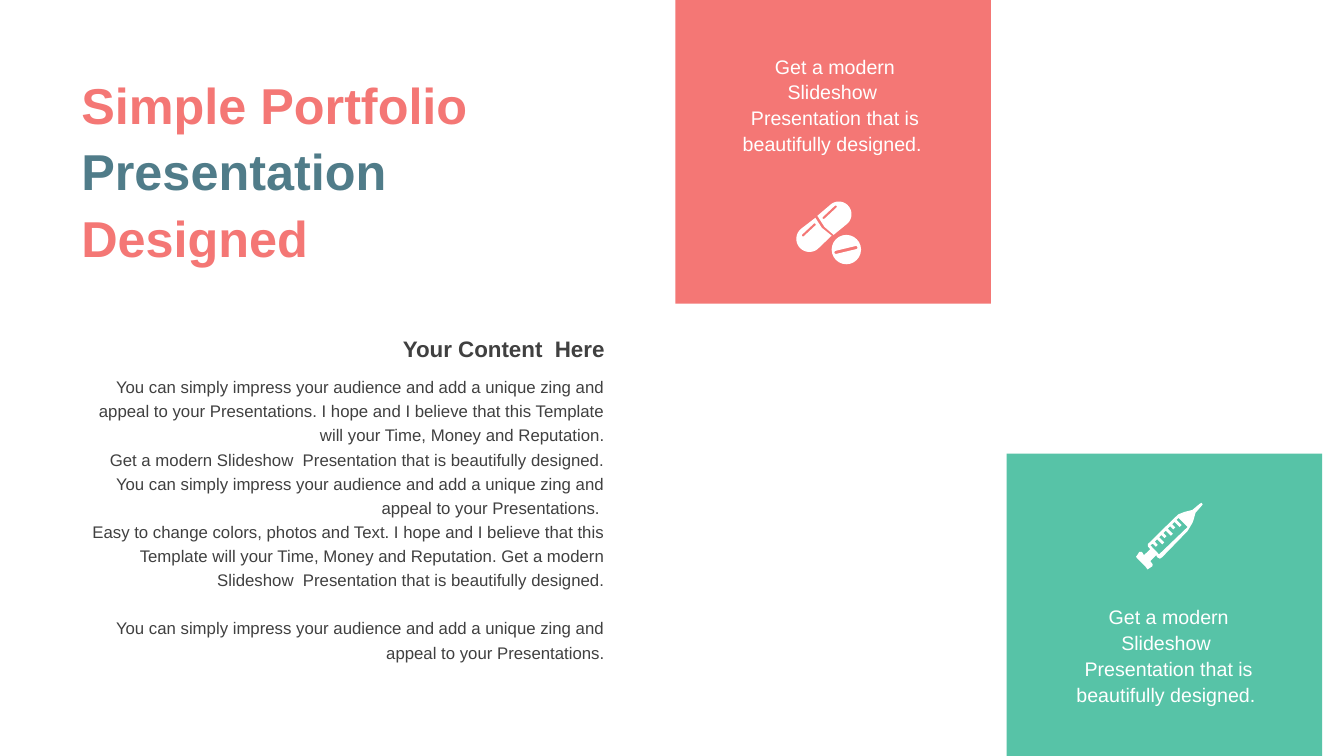
from dataclasses import dataclass
from math import atan2, cos, degrees, radians, sin

from pptx import Presentation
from pptx.dml.color import RGBColor
from pptx.enum.shapes import MSO_SHAPE
from pptx.enum.text import MSO_ANCHOR, PP_ALIGN
from pptx.util import Cm, Pt

RECTANGLE = MSO_SHAPE.RECTANGLE
TOP, MIDDLE = MSO_ANCHOR.TOP, MSO_ANCHOR.MIDDLE
LEFT, CENTER, RIGHT = PP_ALIGN.LEFT, PP_ALIGN.CENTER, PP_ALIGN.RIGHT


@dataclass(frozen=True)
class Theme:
    font: str = "Arial"
    coral: RGBColor = RGBColor(0xF4, 0x77, 0x75)
    green: RGBColor = RGBColor(0x57, 0xC3, 0xA7)
    slate: RGBColor = RGBColor(0x50, 0x7C, 0x89)
    dark: RGBColor = RGBColor(0x40, 0x40, 0x40)
    white: RGBColor = RGBColor(0xFF, 0xFF, 0xFF)
    title: Pt = Pt(36)
    heading: Pt = Pt(16)
    card: Pt = Pt(14)
    body: Pt = Pt(12)


THEME = Theme()

TITLE = [("Simple Portfolio ", THEME.coral), ("Presentation ", THEME.slate),
         ("Designed", THEME.coral)]
HEADING = "Your Content  Here"
BODY = [
    "You can simply impress your audience and add a unique zing and appeal to your "
    "Presentations. I hope and I believe that this Template will your Time, Money and Reputation.",
    "Get a modern Slideshow  Presentation that is beautifully designed. You can simply impress "
    "your audience and add a unique zing and appeal to your Presentations. ",
    "Easy to change colors, photos and Text. I hope and I believe that this Template will your "
    "Time, Money and Reputation. Get a modern Slideshow  Presentation that is beautifully designed.",
    "You can simply impress your audience and add a unique zing and appeal to your Presentations.",
]
CARD_TEXT = "Get a modern Slideshow  Presentation that is beautifully designed. "

# Icon outlines in centimetres from the icon's top left corner
SYRINGE_BODY = [
    (0.51, 1.32), (0.36, 1.47), (0.42, 1.55), (0.41, 1.6), (0.29, 1.68), (0.23, 1.6),
    (0.03, 1.4), (0, 1.36), (0.03, 1.32), (0.08, 1.24), (0.15, 1.24), (0.2, 1.32),
    (0.36, 1.17), (0.3, 1.1), (0.3, 1.04), (0.97, 0.38), (1.07, 0.29), (1.22, 0.23),
    (1.42, 0.18), (1.6, 0.03), (1.65, 0), (1.68, 0.04), (1.65, 0.08), (1.5, 0.25),
    (1.45, 0.43), (1.42, 0.51), (1.3, 0.71), (0.66, 1.37), (0.6, 1.41), (0.53, 1.37),
]


def style_shape(shape, color):
    shape.shadow.inherit = False
    shape.fill.solid()
    shape.fill.fore_color.rgb = color
    shape.line.fill.background()


def add_panel(slide, box, color):
    style_shape(slide.shapes.add_shape(RECTANGLE, *map(Cm, box)), color)


def add_text(slide, box, paragraphs, size, align, bold=False, anchor=TOP, spacing=1.0):
    """Add a text box; each paragraph is a list of (text, color) runs."""
    frame = slide.shapes.add_textbox(*map(Cm, box)).text_frame
    frame.word_wrap = True
    frame.vertical_anchor = anchor
    for index, runs in enumerate(paragraphs):
        paragraph = frame.add_paragraph() if index else frame.paragraphs[0]
        paragraph.alignment = align
        paragraph.line_spacing = spacing
        for text, color in runs:
            run = paragraph.add_run()
            run.text = text
            run.font.color.rgb = color
            for name, value in {"name": THEME.font, "size": size, "bold": bold}.items():
                setattr(run.font, name, value)
    return frame


def arc(center, radius, start, end, steps=24):
    """Points on a circle from start to end, in degrees."""
    angles = [radians(start + (end - start) * step / steps) for step in range(steps + 1)]
    return [(center[0] + radius * cos(angle), center[1] + radius * sin(angle))
            for angle in angles]


def slot(start, end, radius):
    """Outline of a thin bar with round ends."""
    heading = degrees(atan2(end[1] - start[1], end[0] - start[0]))
    return (arc(end, radius, heading - 90, heading + 90)
            + arc(start, radius, heading + 90, heading + 270))


def pill_contours():
    return [
        arc((0.33, 0.94), 0.33, 50, 230) + [(0.48, 0.41), (0.64, 0.66), (0.89, 0.86)],
        arc((1.07, 0.32), 0.32, -130, 50) + [(0.94, 0.84), (0.71, 0.64), (0.53, 0.36)],
        arc((1.26, 1.21), 0.37, 0, 360),
        slot((0.17, 0.85), (0.46, 0.58), 0.03),
        slot((0.69, 0.41), (0.99, 0.13), 0.03),
        slot((1.0, 1.28), (1.5, 1.16), 0.04),
    ]


def syringe_contours():
    """Syringe body and its barrel window, edged with long and short scale marks."""
    window = [(0.58, 1.3), (1.3, 0.61), (1.07, 0.38)]
    width = 0.05
    for mark in range(6):
        x, y = 1.02 - 0.11 * mark, 0.43 + 0.11 * mark
        depth = 0.08 if mark % 2 else 0.13
        window += [(x, y), (x + depth, y + depth),
                   (x + depth - width, y + depth + width), (x - width, y + width)]
    return [SYRINGE_BODY, window + [(0.36, 1.07)]]


def add_icon(slide, left, top, contours):
    outlines = [[(Cm(x), Cm(y)) for x, y in contour] for contour in contours]
    builder = slide.shapes.build_freeform(*outlines[0][0])
    for index, outline in enumerate(outlines):
        if index:
            builder.move_to(*outline[0])
        builder.add_line_segments(outline[1:], close=True)
    style_shape(builder.convert_to_shape(Cm(left), Cm(top)), THEME.white)


def main():
    presentation = Presentation()
    presentation.slide_width, presentation.slide_height = Cm(33.87), Cm(19.05)
    slide = presentation.slides.add_slide(presentation.slide_layouts[6])

    add_panel(slide, (25.37, 11.43, 7.95, 7.62), THEME.green)
    add_panel(slide, (17.02, 0, 7.95, 7.65), THEME.coral)

    add_text(slide, (1.8, 1.52, 11.23, 5.41), [TITLE], THEME.title, LEFT,
             bold=True, anchor=MIDDLE, spacing=1.1)
    add_text(slide, (1.8, 8.31, 13.69, 0.94), [[(HEADING, THEME.dark)]], THEME.heading,
             RIGHT, bold=True)
    body = add_text(slide, (1.8, 9.27, 13.69, 7.65), [[(text, THEME.dark)] for text in BODY],
                    THEME.body, RIGHT, spacing=1.2)
    body.paragraphs[-1].space_before = Pt(17)

    for left, top in ((18.44, 1.19), (26.85, 15.06)):
        add_text(slide, (left, top, 5.21, 2.9), [[(CARD_TEXT, THEME.white)]], THEME.card,
                 CENTER, spacing=1.1)
    add_icon(slide, 20.07, 5.08, pill_contours())
    add_icon(slide, 28.63, 12.67, syringe_contours())

    presentation.save("out.pptx")


if __name__ == "__main__":
    main()
